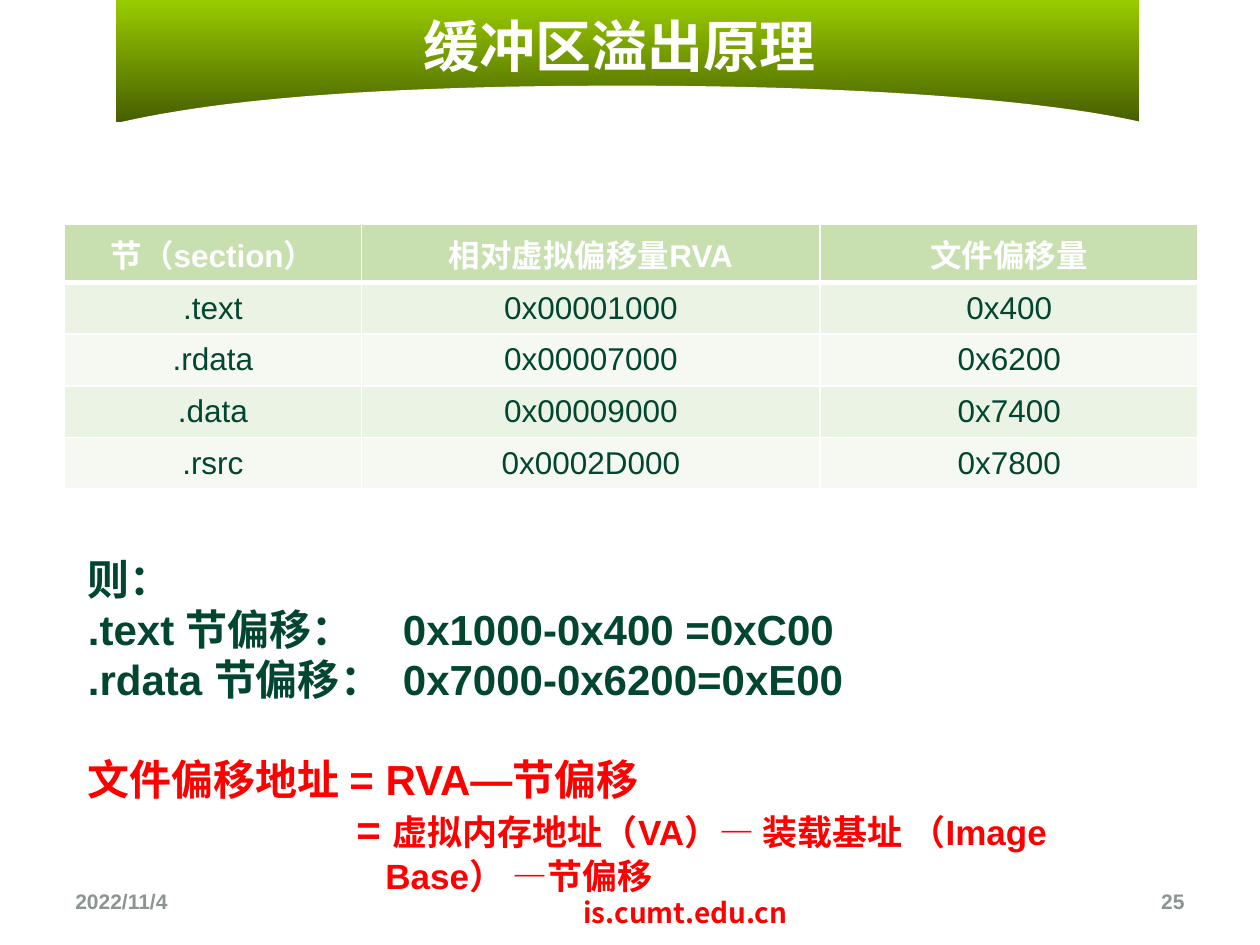
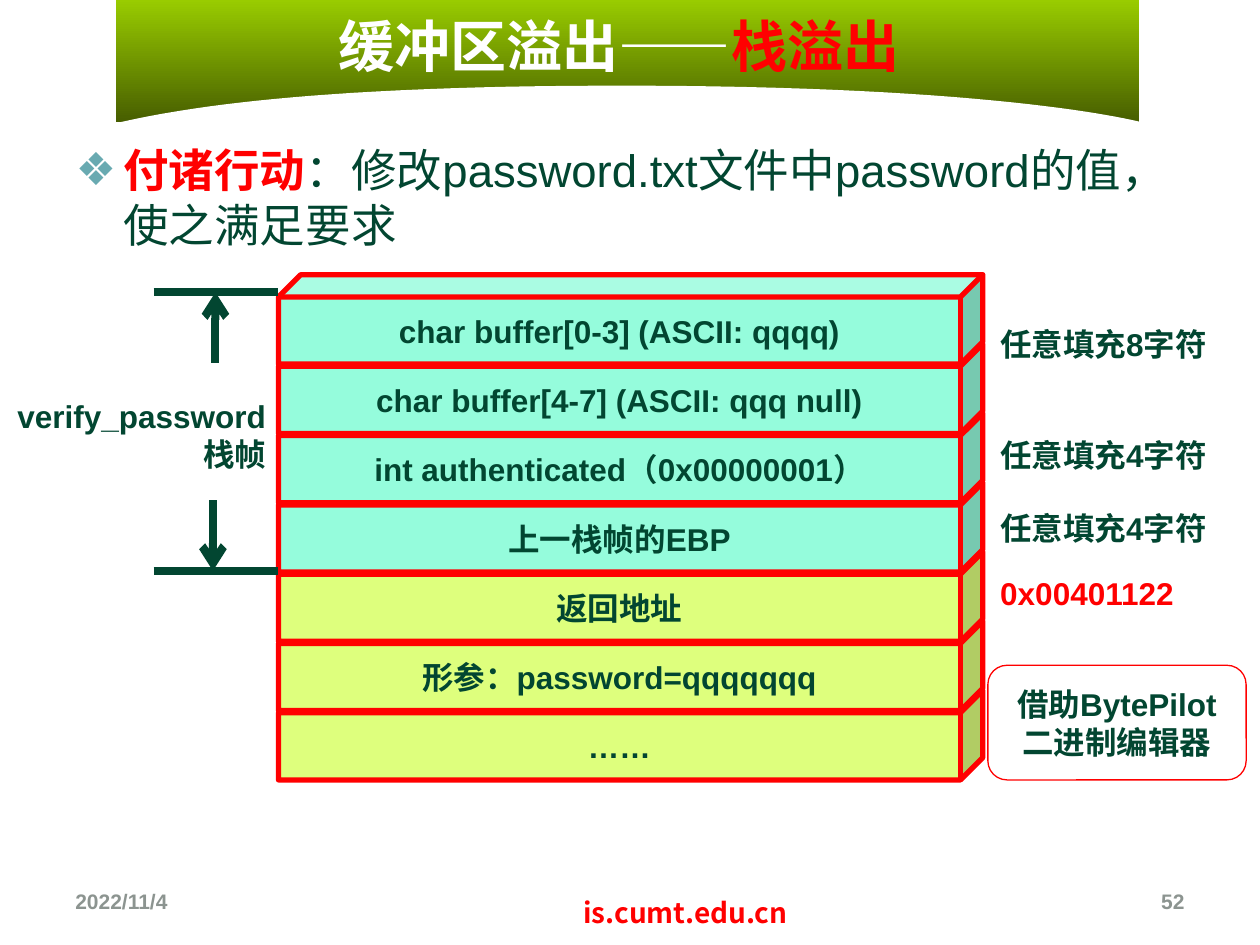
from dataclasses import dataclass
from typing import NamedTuple, Optional

from lxml import etree
from pptx import Presentation
from pptx.dml.color import RGBColor
from pptx.enum.shapes import MSO_CONNECTOR, MSO_SHAPE
from pptx.enum.text import MSO_ANCHOR, MSO_AUTO_SIZE, PP_ALIGN
from pptx.oxml.ns import qn
from pptx.util import Inches, Pt

LEFT, CENTER, RIGHT = PP_ALIGN.LEFT, PP_ALIGN.CENTER, PP_ALIGN.RIGHT
TOP, MIDDLE = MSO_ANCHOR.TOP, MSO_ANCHOR.MIDDLE
TITLE_AND_BODY, TITLE_ONLY = 1, 5


@dataclass(frozen=True)
class Theme:
    latin: str = "Arial"
    cjk: str = "Noto Sans CJK SC"
    ink: str = "024631"
    red: str = "FF0000"
    white: str = "FFFFFF"
    gray: str = "8C9490"
    bullet: str = "69AAB1"
    band_light: str = "99CC00"
    band_dark: str = "475E00"
    header_fill: str = "C8E0B0"
    row_fills: tuple = ("EBF3E4", "F5F9F2")
    frame_fill: str = "95FCDC"
    caller_fill: str = "DEFF7D"
    title: int = 32
    body: int = 26
    formula: int = 24
    formula_detail: int = 20
    label: int = 18
    site: int = 16
    footer: int = 12


THEME = Theme()


class Span(NamedTuple):
    text: str
    color: str = THEME.ink
    size: int = THEME.label
    bold: bool = True
    font: str = THEME.latin


class Area(NamedTuple):
    left: float
    top: float
    width: float
    height: float

    def lengths(self) -> list:
        return [Inches(value) for value in self]


class Label(NamedTuple):
    area: Area
    span: Span
    align: PP_ALIGN = LEFT
    anchor: MSO_ANCHOR = TOP


class StackCell(NamedTuple):
    text: str
    fill: str


class Stroke(NamedTuple):
    start: tuple
    end: tuple
    arrow: bool = False


TITLE_AREA = Area(0.33, 0.05, 9.17, 0.62)
BAND_AREA = Area(0.92, 0, 8.12, 0.97)
ARC_RIGHT = ((5.09, 0.68), (8.15, 0.69), (9.19, 0.99), (9.19, 1.01))
ARC_LEFT = ((0.67, 1.04), (1.1, 0.93), (2.04, 0.67), (5.09, 0.68))

SECTION_COLUMNS = (2.36, 3.64, 3)
SECTION_ROWS = (
    ("节（section）", "相对虚拟偏移量RVA", "文件偏移量"),
    (".text", "0x00001000", "0x400"),
    (".rdata", "0x00007000", "0x6200"),
    (".data", "0x00009000", "0x7400"),
    (".rsrc", "0x0002D000", "0x7800"),
)

STACK = (
    StackCell("char buffer[0-3] (ASCII: qqqq)", THEME.frame_fill),
    StackCell("char buffer[4-7] (ASCII: qqq null)", THEME.frame_fill),
    StackCell("int authenticated（0x00000001）", THEME.frame_fill),
    StackCell("上一栈帧的EBP", THEME.frame_fill),
    StackCell("返回地址", THEME.caller_fill),
    StackCell("形参：password=qqqqqqq", THEME.caller_fill),
    StackCell("……", THEME.caller_fill),
)
STACK_TOP, STACK_PITCH = 2.18, 0.55
FRAME_STROKES = (
    Stroke((1.22, 2.32), (2.21, 2.32)),
    Stroke((1.22, 4.53), (2.21, 4.53)),
    Stroke((1.71, 2.88), (1.71, 2.32), arrow=True),
    Stroke((1.69, 3.97), (1.69, 4.53), arrow=True),
)
FILL_NOTES = (
    (2.53, Span("任意填充8字符")),
    (3.41, Span("任意填充4字符")),
    (3.99, Span("任意填充4字符")),
    (4.51, Span("0x00401122", THEME.red)),
)


def rgb(color: str) -> RGBColor:
    return RGBColor.from_string(color)


def add_child(parent, tag: str, **attributes):
    return etree.SubElement(parent, qn(tag), attributes)


def add_spans(para, *spans: Span, align: Optional[PP_ALIGN] = None) -> None:
    if align is not None:
        para.alignment = align
    for span in spans:
        run = para.add_run()
        run.text = span.text
        run.font.size = Pt(span.size)
        run.font.bold = span.bold
        run.font.color.rgb = rgb(span.color)
        run.font.name = span.font
        add_child(run.font._element, "a:ea", typeface=THEME.cjk)


def set_indent(para, margin: float, first_line: float) -> None:
    properties = para._p.get_or_add_pPr()
    properties.set("marL", str(Inches(margin)))
    properties.set("indent", str(Inches(first_line)))


def prepare_frame(shape, anchor: MSO_ANCHOR):
    frame = shape.text_frame
    frame.word_wrap = True
    frame.auto_size = MSO_AUTO_SIZE.NONE
    frame.vertical_anchor = anchor
    return frame


def place(shape, area: Area) -> None:
    shape.left, shape.top, shape.width, shape.height = area.lengths()


def add_label(slide, label: Label) -> None:
    box = slide.shapes.add_textbox(*label.area.lengths())
    frame = prepare_frame(box, label.anchor)
    add_spans(frame.paragraphs[0], label.span, align=label.align)


def add_block(slide, kind, area: Area, span: Span, fill: Optional[str], line_width: float) -> None:
    """Draw a red-outlined preset shape with centred text."""
    block = slide.shapes.add_shape(kind, *area.lengths())
    block.shadow.inherit = False
    if fill:
        block.fill.solid()
        block.fill.fore_color.rgb = rgb(fill)
    else:
        block.fill.background()
    block.line.color.rgb = rgb(THEME.red)
    block.line.width = Pt(line_width)
    frame = prepare_frame(block, MIDDLE)
    add_spans(frame.paragraphs[0], span, align=CENTER)


def add_stroke(slide, stroke: Stroke) -> None:
    ends = [Inches(value) for value in stroke.start + stroke.end]
    line = slide.shapes.add_connector(MSO_CONNECTOR.STRAIGHT, *ends)
    line.line.color.rgb = rgb(THEME.ink)
    line.line.width = Pt(4.5)
    if stroke.arrow:
        add_child(line.line._get_or_add_ln(), "a:tailEnd", type="arrow")
    add_child(line._element.spPr, "a:effectLst")


def curve_points(controls: tuple, steps: int = 32) -> list:
    """Sample a cubic curve, both ends included."""
    points = []
    for step in range(steps + 1):
        t = step / steps
        weights = ((1 - t) ** 3, 3 * t * (1 - t) ** 2, 3 * t * t * (1 - t), t ** 3)
        points.append(tuple(
            Inches(sum(weight * point[axis] for weight, point in zip(weights, controls)))
            for axis in (0, 1)
        ))
    return points


def add_band_to_master(deck, slide) -> None:
    """Draw the title band on a slide, then move it behind everything on the master."""
    band = slide.shapes.add_shape(MSO_SHAPE.RECTANGLE, *BAND_AREA.lengths())
    band.fill.gradient()
    band.fill.gradient_angle = 270
    for stop, color in zip(band.fill.gradient_stops, (THEME.band_light, THEME.band_dark)):
        stop.color.rgb = rgb(color)

    outline = curve_points(ARC_RIGHT) + curve_points(ARC_LEFT)
    builder = slide.shapes.build_freeform(*outline[0], scale=1.0)
    builder.add_line_segments(outline[1:], close=True)
    arc = builder.convert_to_shape()
    arc.fill.solid()
    arc.fill.fore_color.rgb = rgb(THEME.white)

    for index, shape in enumerate((band, arc)):
        shape.shadow.inherit = False
        shape.line.fill.background()
        shape.element.nvSpPr.cNvPr.set("id", str(100 + index))
        deck.slide_master.shapes.element.insert(2 + index, shape.element)


def add_slide(deck, layout: int, *title: Span):
    slide = deck.slides.add_slide(deck.slide_layouts[layout])
    place(slide.shapes.title, TITLE_AREA)
    frame = prepare_frame(slide.shapes.title, MIDDLE)
    add_spans(frame.paragraphs[0], *title, align=CENTER)
    return slide


def title_span(text: str, color: str = THEME.white) -> Span:
    return Span(text, color, THEME.title, font=THEME.cjk)


def add_footers(slide, number: int) -> None:
    site = Span("is.cumt.edu.cn", THEME.red, THEME.site, font=THEME.cjk)
    date, page = (Span(text, THEME.gray, THEME.footer) for text in ("2022/11/4", str(number)))
    add_label(slide, Label(Area(0.5, 6.95, 2.33, 0.4), date, LEFT, MIDDLE))
    add_label(slide, Label(Area(3.9, 7.06, 3.08, 0.37), site, CENTER))
    add_label(slide, Label(Area(7.17, 6.95, 2.33, 0.4), page, RIGHT, MIDDLE))


def set_borders(cell, bottom: float) -> None:
    properties = cell._tc.get_or_add_tcPr()
    for index, (side, width) in enumerate((("L", 1), ("R", 1), ("T", 1), ("B", bottom))):
        border = etree.Element(qn(f"a:ln{side}"), {"w": str(Pt(width))})
        add_child(add_child(border, "a:solidFill"), "a:srgbClr", val=THEME.white)
        properties.insert(index, border)


def add_section_table(slide) -> None:
    area = Area(0.51, 1.78, 9, 2.05)
    table = slide.shapes.add_table(len(SECTION_ROWS), len(SECTION_COLUMNS), *area.lengths()).table
    table.horz_banding = False
    for column, width in zip(table.columns, SECTION_COLUMNS):
        column.width = Inches(width)
    for row, texts in enumerate(SECTION_ROWS):
        header = row == 0
        fill = THEME.header_fill if header else THEME.row_fills[(row - 1) % 2]
        color = THEME.white if header else THEME.ink
        for column, text in enumerate(texts):
            cell = table.cell(row, column)
            cell.fill.solid()
            cell.fill.fore_color.rgb = rgb(fill)
            cell.vertical_anchor = MIDDLE
            set_borders(cell, bottom=3 if header or row == 0 else 1)
            add_spans(cell.text_frame.paragraphs[0], Span(text, color, bold=header), align=CENTER)


def add_offset_formulas(slide) -> None:
    box = slide.shapes.add_textbox(*Area(0.6, 4.34, 8.66, 3).lengths())
    frame = prepare_frame(box, TOP)
    add_spans(frame.paragraphs[0], Span("则：", size=THEME.formula))
    for text in (".text 节偏移：\t0x1000-0x400 =0xC00", ".rdata 节偏移：\t0x7000-0x6200=0xE00"):
        para = frame.add_paragraph()
        tabs = add_child(para._p.get_or_add_pPr(), "a:tabLst")
        add_child(tabs, "a:tab", pos=str(Inches(2.5)), algn="l")
        add_spans(para, Span(text, size=THEME.formula))
    para = frame.add_paragraph()
    para.space_before = Pt(28)
    add_spans(para, Span("文件偏移地址 = RVA—节偏移", THEME.red, THEME.formula))
    para = frame.add_paragraph()
    set_indent(para, 2.36, -0.23)
    detail = "虚拟内存地址（VA）— 装载基址 （Image Base） —节偏移"
    add_spans(para, Span("= ", THEME.red, THEME.formula), Span(detail, THEME.red, THEME.formula_detail))


def add_task(slide) -> None:
    body = slide.placeholders[1]
    place(body, Area(0.5, 1.08, 9, 5.92))
    para = prepare_frame(body, TOP).paragraphs[0]
    set_indent(para, 0.38, -0.38)
    properties = para._p.get_or_add_pPr()
    add_child(add_child(properties, "a:buClr"), "a:srgbClr", val=THEME.bullet)
    add_child(properties, "a:buChar", char="❖")
    para.space_before = Pt(0)
    task = "：修改password.txt文件中password的值，使之满足要求"
    add_spans(para, Span("付诸行动", THEME.red, THEME.body), Span(task, size=THEME.body, bold=False))


def add_stack_diagram(slide) -> None:
    for index, cell in reversed(list(enumerate(STACK))):
        area = Area(2.21, STACK_TOP + index * STACK_PITCH, 5.59, 0.71)
        add_block(slide, MSO_SHAPE.CUBE, area, Span(cell.text), cell.fill, 3)
    for stroke in FRAME_STROKES:
        add_stroke(slide, stroke)
    add_label(slide, Label(Area(-0.04, 3.1, 2.25, 0.71), Span("verify_password栈帧"), RIGHT))
    for top, span in FILL_NOTES:
        add_label(slide, Label(Area(7.84, top, 2.2, 0.4), span))
    tool = Span("借助BytePilot二进制编辑器")
    add_block(slide, MSO_SHAPE.ROUNDED_RECTANGLE, Area(7.84, 5.28, 2.05, 0.91), tool, None, 0.75)


def main() -> None:
    deck = Presentation()
    deck.slide_width, deck.slide_height = Inches(10), Inches(7.5)

    offsets = add_slide(deck, TITLE_ONLY, title_span("缓冲区溢出原理"))
    add_band_to_master(deck, offsets)
    add_section_table(offsets)
    add_offset_formulas(offsets)
    add_footers(offsets, 25)

    overflow = add_slide(
        deck, TITLE_AND_BODY, title_span("缓冲区溢出——"), title_span("栈溢出", THEME.red))
    add_task(overflow)
    add_stack_diagram(overflow)
    add_footers(overflow, 52)

    deck.save("out.pptx")


if __name__ == "__main__":
    main()
